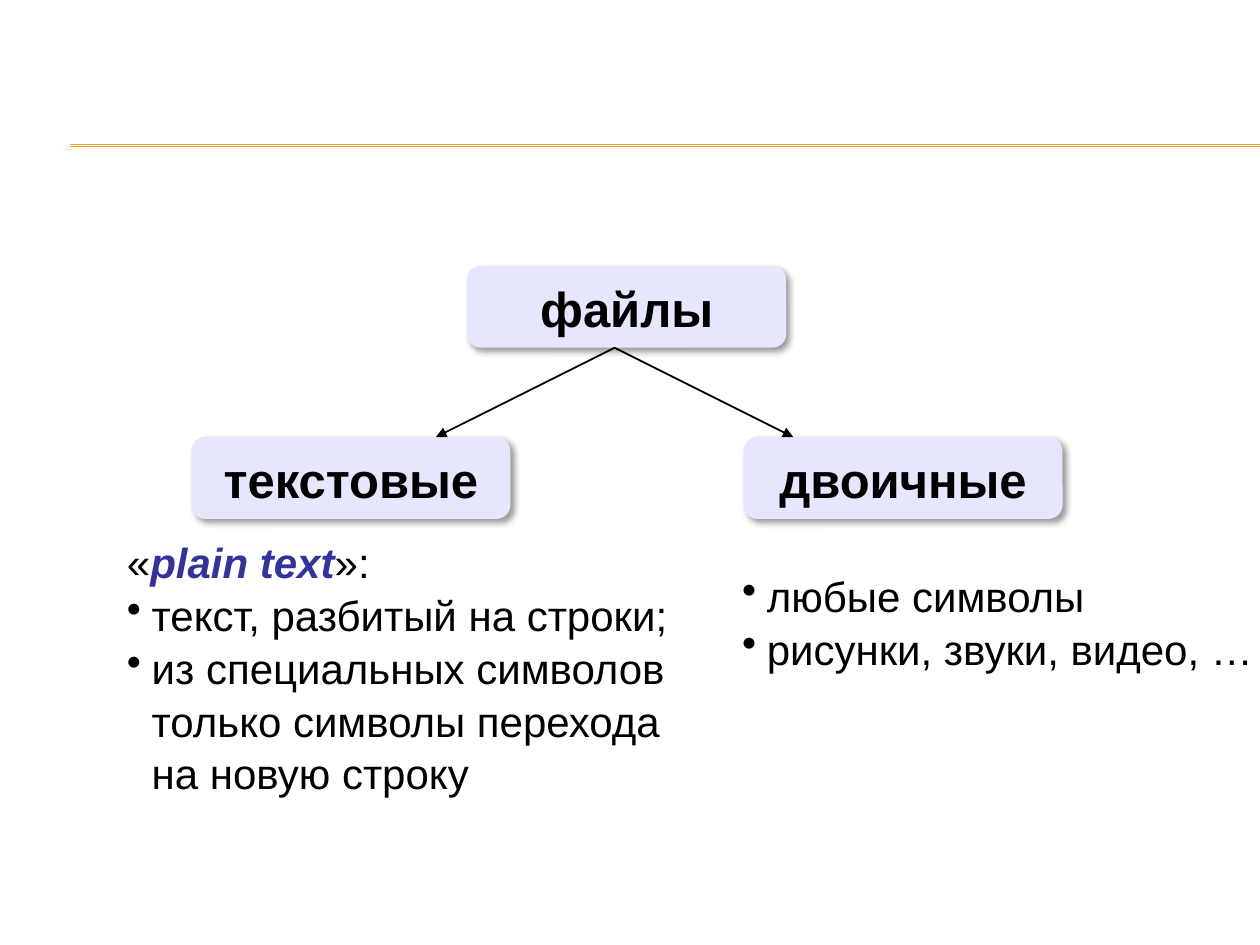
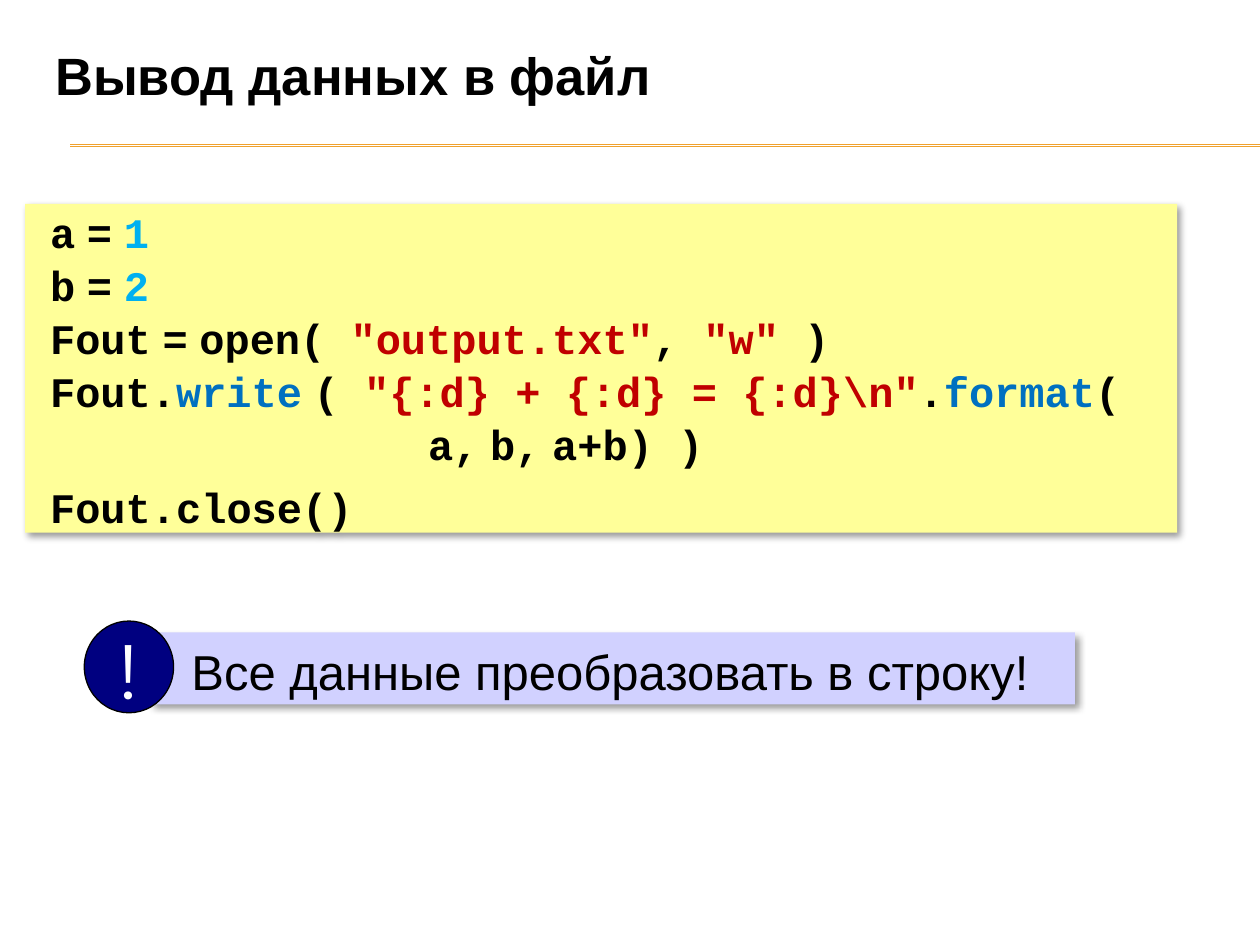
from lxml.etree import SubElement
from pptx import Presentation
from pptx.dml.color import RGBColor
from pptx.enum.shapes import MSO_CONNECTOR, MSO_SHAPE
from pptx.enum.text import MSO_ANCHOR, PP_ALIGN
from pptx.oxml.ns import qn
from pptx.util import Cm, Pt

BLACK = RGBColor(0x00, 0x00, 0x00)
WHITE = RGBColor(0xFF, 0xFF, 0xFF)
GOLD = RGBColor(0xF0, 0xA2, 0x2E)
LAVENDER = RGBColor(0xE6, 0xE6, 0xFF)
LILAC = RGBColor(0xD1, 0xD1, 0xFF)
INDIGO = RGBColor(0x33, 0x33, 0x99)
NAVY = RGBColor(0x00, 0x00, 0x80)
CODE_YELLOW = RGBColor(0xFF, 0xFF, 0x99)
NUMBER_BLUE = RGBColor(0x00, 0xB0, 0xF0)
METHOD_BLUE = RGBColor(0x00, 0x70, 0xC0)
STRING_RED = RGBColor(0xC0, 0x00, 0x00)

BODY_FONT, CODE_FONT, MARK_FONT = "Arial", "Courier New", "Montserrat"
LINE_SPACING = 1.05


# Shared helpers
def add_shadow(shape):
    effects = shape._element.spPr.find(qn("a:effectLst"))
    shadow = SubElement(effects, qn("a:outerShdw"), blurRad=str(Pt(4)),
                        dist=str(Pt(3)), dir="2700000", algn="tl", rotWithShape="0")
    colour = SubElement(shadow, qn("a:srgbClr"), val=str(BLACK))
    SubElement(colour, qn("a:alpha"), val="40000")


def add_box(shapes, kind, box, fill=None, anchor=MSO_ANCHOR.MIDDLE, shadow=False):
    shape = shapes.add_shape(kind, *(Cm(length) for length in box))
    shape.shadow.inherit = False
    shape.line.fill.background()
    if fill is None:
        shape.fill.background()
    else:
        shape.fill.solid()
        shape.fill.fore_color.rgb = fill
    if shadow:
        add_shadow(shape)
    shape.text_frame.word_wrap = True
    shape.text_frame.vertical_anchor = anchor
    return shape


def add_line(shapes, start, end, colour, width, arrow=False):
    line = shapes.add_connector(MSO_CONNECTOR.STRAIGHT,
                                *(Cm(length) for length in (*start, *end)))
    line.line.color.rgb = colour
    line.line.width = Pt(width)
    if arrow:
        SubElement(line.line._get_or_add_ln(), qn("a:tailEnd"), type="triangle")
    SubElement(line._element.spPr, qn("a:effectLst"))


def format_run(run, size, colour=BLACK, font=BODY_FONT, bold=False, italic=False):
    run.font.size = Pt(size)
    run.font.name = font
    run.font.color.rgb = colour
    run.font.bold = bold
    run.font.italic = italic


def next_paragraph(text_frame, first, align=PP_ALIGN.LEFT, left=0, indent=0):
    paragraph = text_frame.paragraphs[0] if first else text_frame.add_paragraph()
    paragraph.alignment = align
    paragraph.line_spacing = LINE_SPACING
    properties = paragraph._p.get_or_add_pPr()
    properties.set("marL", str(Cm(left)))
    properties.set("indent", str(Cm(indent)))
    return paragraph


def add_run(paragraph, text, size, **style):
    run = paragraph.add_run()
    run.text = text
    format_run(run, size, **style)


def add_slide(presentation, title=None):
    layout = presentation.slide_layouts[6 if title is None else 5]
    slide = presentation.slides.add_slide(layout)
    # Double rule under the title
    for top in (2.92, 2.95):
        add_line(slide.shapes, (1.42, top), (25.4, top), GOLD, 0.75)
    if title is not None:
        shape = slide.shapes.title
        shape.left, shape.top, shape.width, shape.height = map(Cm, (0.86, 0.84, 23.27, 1.32))
        shape.text_frame.text = title
        shape.text_frame.vertical_anchor = MSO_ANCHOR.MIDDLE
        paragraph = shape.text_frame.paragraphs[0]
        paragraph.alignment = PP_ALIGN.LEFT
        format_run(paragraph.runs[0], 30, bold=True)
    return slide


# File types slide
def add_node(slide, left, top, text):
    shape = add_box(slide.shapes, MSO_SHAPE.ROUNDED_RECTANGLE,
                    (left, top, 6.43, 1.65), LAVENDER, shadow=True)
    paragraph = next_paragraph(shape.text_frame, True, PP_ALIGN.CENTER)
    add_run(paragraph, text, 28, bold=True)


def add_description(slide, left, top, bullets, term=None):
    shape = add_box(slide.shapes, MSO_SHAPE.FLOWCHART_PROCESS,
                    (left, top, 11.65, 5.61), anchor=MSO_ANCHOR.TOP)
    if term:
        paragraph = next_paragraph(shape.text_frame, True)
        add_run(paragraph, "«", 24)
        add_run(paragraph, term, 24, colour=INDIGO, bold=True, italic=True)
        add_run(paragraph, "»:", 24)
    for index, text in enumerate(bullets):
        first = index == 0 and not term
        paragraph = next_paragraph(shape.text_frame, first, left=0.5, indent=-0.5)
        SubElement(paragraph._p.pPr, qn("a:buChar"), char="•")
        add_run(paragraph, text, 24)


def add_branches(slide, start, reach, drop):
    group = slide.shapes.add_group_shape()
    for side in (-1, 1):
        end = (start[0] + side * reach, start[1] + drop)
        add_line(group.shapes, start, end, BLACK, 1, arrow=True)


def build_file_types(presentation):
    slide = add_slide(presentation)
    add_node(slide, 9.42, 5.36, "файлы")
    add_node(slide, 3.86, 8.81, "текстовые")
    add_node(slide, 14.99, 8.81, "двоичные")
    add_branches(slide, (12.39, 7.01), 3.6, 1.8)
    add_description(slide, 2.31, 10.64, [
        "текст, разбитый на строки;",
        "из специальных символов только символы перехода на новую строку",
    ], term="plain text")
    add_description(slide, 14.71, 11.33, ["любые символы", "рисунки, звуки, видео, …"])


# Output slide: a code line is a left indent, space before, and coloured pieces
GAP = (" ", BLACK, BODY_FONT)  # narrow space between code tokens


def plain(text):
    return text, BLACK, CODE_FONT


def string(text):
    return text, STRING_RED, CODE_FONT


def method(text):
    return text, METHOD_BLUE, CODE_FONT


def number(text):
    return text, NUMBER_BLUE, CODE_FONT


CODE = [
    (0.25, 0, [plain("a"), GAP, plain("="), GAP, number("1")]),
    (0.25, 0, [plain("b"), GAP, plain("="), GAP, number("2")]),
    (0.25, 0, [plain("Fout"), GAP, plain("="), GAP, plain("open( "),
               string('"output.txt"'), plain(", "), string('"w" '), plain(")")]),
    (0.25, 0, [plain("Fout."), method("write"), GAP, plain("( "),
               string('"{:d} + {:d} = {:d}\\n"'), plain("."), method("format"), plain("(")]),
    (7.87, 0, [plain("a,"), GAP, plain("b,"), GAP, plain("a+b) )")]),
    (0.25, 6, [plain("Fout.close()")]),
]


def add_code(slide, box, lines):
    shape = add_box(slide.shapes, MSO_SHAPE.RECTANGLE, box, CODE_YELLOW, shadow=True)
    for index, (left, space, pieces) in enumerate(lines):
        paragraph = next_paragraph(shape.text_frame, index == 0, left=left)
        paragraph.space_before = Pt(space)
        for text, colour, font in pieces:
            add_run(paragraph, text, 24, colour=colour, font=font, bold=True)


def add_warning(slide, left, top, text):
    group = slide.shapes.add_group_shape()
    # Banner
    banner = add_box(group.shapes, MSO_SHAPE.RECTANGLE,
                     (left + 1.35, top + 0.23, 18.62, 1.45), LILAC,
                     MSO_ANCHOR.TOP, shadow=True)
    banner.text_frame.margin_left = Cm(0.81)
    add_run(next_paragraph(banner.text_frame, True), text, 28)
    # Round exclamation mark
    badge = add_box(group.shapes, MSO_SHAPE.OVAL, (left, top, 1.8, 1.85), NAVY)
    badge.line.color.rgb = BLACK
    badge.line.width = Pt(0.75)
    badge.text_frame.word_wrap = False
    paragraph = next_paragraph(badge.text_frame, True, PP_ALIGN.CENTER)
    add_run(paragraph, "!", 44, colour=WHITE, font=MARK_FONT)


def build_file_output(presentation):
    slide = add_slide(presentation, "Вывод данных в файл")
    add_code(slide, (0.51, 4.11, 23.22, 6.63), CODE)
    add_warning(slide, 1.7, 12.52, "Все данные преобразовать в строку!")


presentation = Presentation()
presentation.slide_width, presentation.slide_height = Cm(25.4), Cm(19.05)
build_file_types(presentation)
build_file_output(presentation)
presentation.save("out.pptx")
